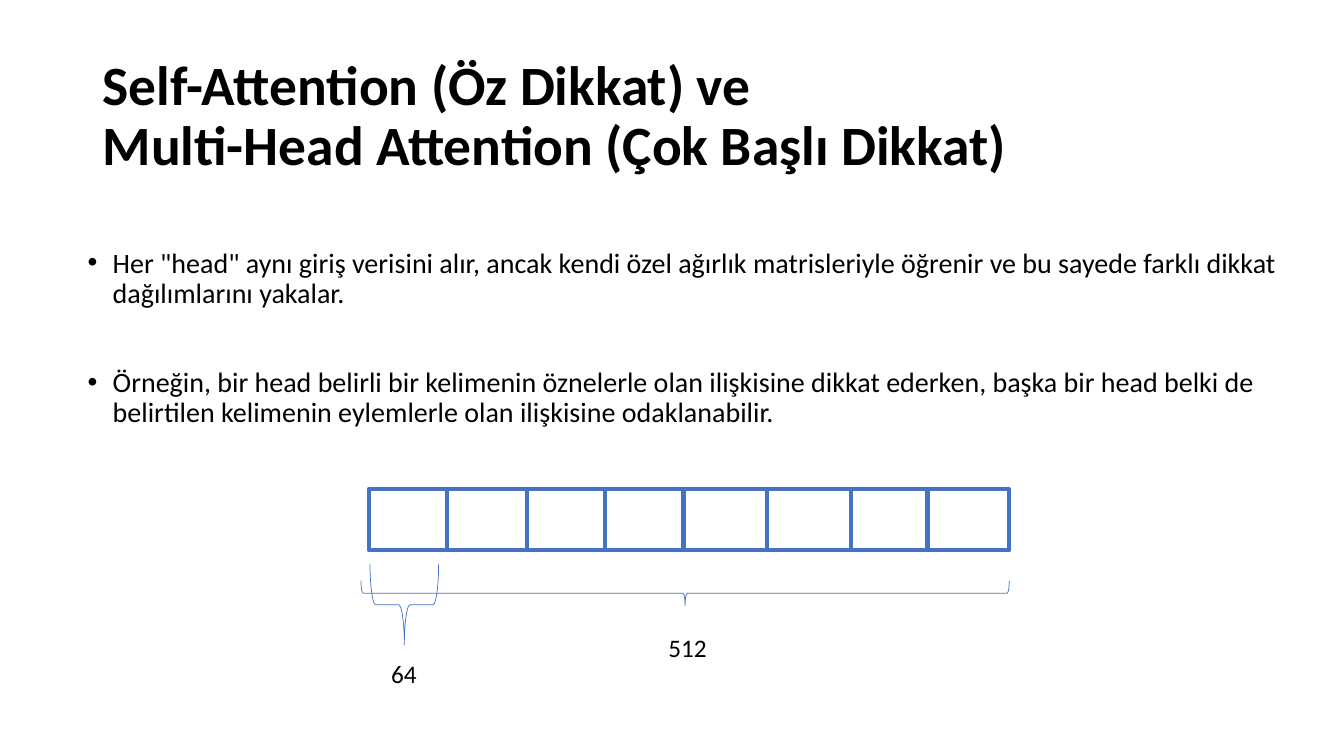
from lxml.etree import SubElement
from pptx import Presentation
from pptx.dml.color import RGBColor
from pptx.enum.shapes import MSO_CONNECTOR, MSO_SHAPE
from pptx.enum.text import MSO_ANCHOR
from pptx.oxml.ns import qn
from pptx.util import Inches, Pt

TITLE = "Self-Attention (Öz Dikkat) ve \vMulti-Head Attention (Çok Başlı Dikkat)"
POINTS = [
    'Her "head" aynı giriş verisini alır, ancak kendi özel ağırlık matrisleriyle '
    "öğrenir ve bu sayede farklı dikkat dağılımlarını yakalar.",
    "Örneğin, bir head belirli bir kelimenin öznelerle olan ilişkisine dikkat ederken, "
    "başka bir head belki de belirtilen kelimenin eylemlerle olan ilişkisine odaklanabilir.",
]
VECTOR = (3.66, 4.85, 6.35, 0.61)
HEAD_EDGES = [4.43, 5.23, 6, 6.78, 7.61, 8.44, 9.2]
SPANS = [
    {"size": "512", "brace": (3.58, 5.76, 6.43, 0.25), "label": (6.53, 6.22, 1.46, 0.4)},
    {"size": "64", "brace": (3.67, 5.6, 0.68, 0.8), "label": (3.78, 6.48, 0.71, 0.4)},
]
THEME = {
    "font": "Calibri",
    "ink": RGBColor(0, 0, 0),
    "paper": RGBColor(255, 255, 255),
    "blue": RGBColor(0x44, 0x72, 0xC4),
    "title": 39.6,
    "body": 20,
    "label": 18,
    "cell_line": 3,
    "brace_line": 0.5,
}


def style_text(paragraph, size, bold=False):
    for run in paragraph.runs:
        run.font.name = THEME["font"]
        run.font.size = Pt(size)
        run.font.bold = bold
        run.font.color.rgb = THEME["ink"]


def add_text(slide, box, text, size, bold=False, spacing=None):
    frame = slide.shapes.add_textbox(*map(Inches, box)).text_frame
    frame.word_wrap = True
    frame.text = text
    for paragraph in frame.paragraphs:
        paragraph.line_spacing = spacing
        style_text(paragraph, size, bold)
    return frame


def add_bullet(paragraph):
    properties = paragraph._p.get_or_add_pPr()
    properties.set("marL", str(Inches(0.25)))
    properties.set("indent", str(-Inches(0.25)))
    SubElement(properties, qn("a:buFont")).set("typeface", "Arial")
    SubElement(properties, qn("a:buChar")).set("char", "•")


def style_line(shape, width):
    shape.line.color.rgb = THEME["blue"]
    shape.line.width = Pt(width)


def add_vector(slide):
    vector = slide.shapes.add_shape(MSO_SHAPE.FLOWCHART_PROCESS, *map(Inches, VECTOR))
    vector.shadow.inherit = False
    vector.fill.solid()
    vector.fill.fore_color.rgb = THEME["paper"]
    style_line(vector, THEME["cell_line"])
    top, bottom = VECTOR[1], VECTOR[1] + VECTOR[3]
    for x in HEAD_EDGES:
        divider = slide.shapes.add_connector(
            MSO_CONNECTOR.STRAIGHT, Inches(x), Inches(top), Inches(x), Inches(bottom)
        )
        style_line(divider, THEME["cell_line"])
        SubElement(divider._element.spPr, qn("a:effectLst"))


def add_span(slide, span):
    left, top, width, depth = span["brace"]
    shift = (width - depth) / 2
    brace = slide.shapes.add_shape(
        MSO_SHAPE.RIGHT_BRACE,
        Inches(left + shift), Inches(top - shift), Inches(depth), Inches(width),
    )
    brace.rotation = 90
    brace.shadow.inherit = False
    brace.fill.background()
    style_line(brace, THEME["brace_line"])
    add_text(slide, span["label"], span["size"], THEME["label"])


def main():
    deck = Presentation()
    deck.slide_width, deck.slide_height = Inches(13.33), Inches(7.5)
    slide = deck.slides.add_slide(deck.slide_layouts[6])

    title = add_text(slide, (0.92, 0.74, 11.5, 1.45), TITLE, THEME["title"], True, 0.9)
    title.vertical_anchor = MSO_ANCHOR.MIDDLE
    title.margin_bottom = Inches(0.64)

    body = add_text(slide, (0.77, 2.42, 12.13, 3.62), "\n".join(POINTS), THEME["body"], spacing=0.9)
    for paragraph, space in zip(body.paragraphs, (10, 42)):
        paragraph.space_before = Pt(space)
        add_bullet(paragraph)

    add_vector(slide)
    for span in SPANS:
        add_span(slide, span)
    deck.save("out.pptx")


if __name__ == "__main__":
    main()
